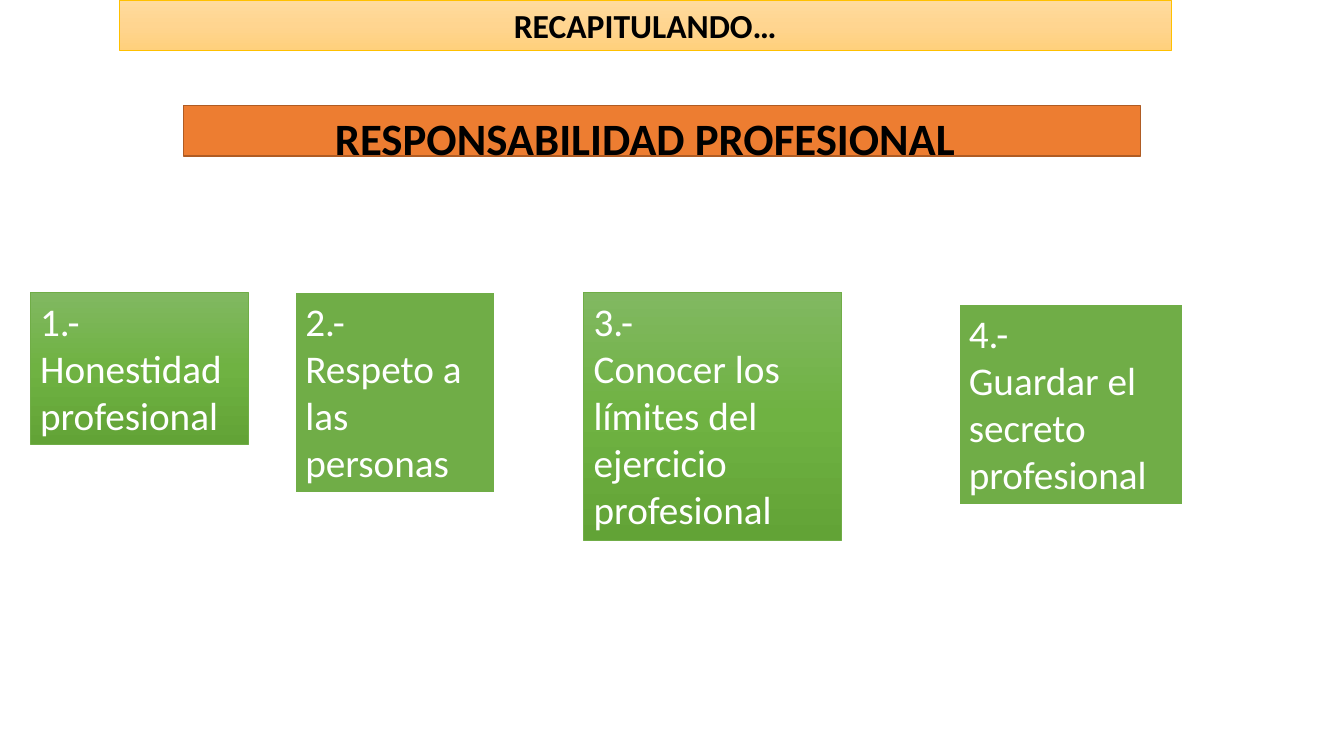
from copy import deepcopy
from dataclasses import dataclass

from pptx import Presentation
from pptx.dml.color import RGBColor
from pptx.enum import shapes, text
from pptx.oxml.ns import qn
from pptx.util import Inches, Pt


@dataclass(frozen=True)
class Theme:
    font: str = "Calibri"
    black: str = "000000"
    white: str = "FFFFFF"
    orange: str = "ED7D31"
    orange_edge: str = "AF5C24"
    gold_edge: str = "FFC000"
    gold_fade: tuple = ("FFDB9E", "FFD590", "FFD07C")
    green: str = "70AD47"
    green_fade: tuple = ("81B861", "6FB242", "62A336")
    recap_size: int = 24
    title_size: int = 32
    duty_size: int = 28


class SlideBuilder:
    def __init__(self, slide, theme):
        self.slide = slide
        self.theme = theme

    def box(self, place, fill, edge, edge_width):
        """Draw a rectangle; a tuple of three colours fades from top to bottom."""
        panel = self.slide.shapes.add_shape(
            shapes.MSO_SHAPE.RECTANGLE, *map(Inches, place))
        panel.shadow.inherit = False
        if isinstance(fill, tuple):
            self.fade(panel, fill)
        else:
            panel.fill.solid()
            panel.fill.fore_color.rgb = RGBColor.from_string(fill)
        panel.line.color.rgb = RGBColor.from_string(edge)
        panel.line.width = Pt(edge_width)
        return panel

    def fade(self, panel, colors):
        panel.fill.gradient()
        panel.fill.gradient_angle = 270
        stops = panel.element.spPr.find(".//" + qn("a:gsLst"))
        stops.insert(1, deepcopy(stops[0]))
        for stop, color, position in zip(panel.fill.gradient_stops, colors, (0, 0.5, 1)):
            stop.color.rgb = RGBColor.from_string(color)
            stop.position = position

    def label(self, place):
        return self.slide.shapes.add_textbox(*map(Inches, place))

    def set_text(self, holder, lines, size, color, bold=False, align=text.PP_ALIGN.LEFT):
        frame = holder.text_frame
        frame.word_wrap = True
        frame.auto_size = text.MSO_AUTO_SIZE.SHAPE_TO_FIT_TEXT
        frame.vertical_anchor = text.MSO_ANCHOR.TOP
        frame.text = "\n".join(lines)
        for paragraph in frame.paragraphs:
            paragraph.alignment = align
            paragraph.font.name = self.theme.font
            paragraph.font.size = Pt(size)
            paragraph.font.bold = bold
            paragraph.font.color.rgb = RGBColor.from_string(color)

    def heading(self, holder, wording, size):
        self.set_text(holder, [wording], size, self.theme.black, True, text.PP_ALIGN.CENTER)

    def duty(self, place, lines, faded):
        theme = self.theme
        style = (theme.green_fade, theme.green, 0.5) if faded else (theme.green, theme.white, 1.5)
        self.set_text(self.box(place, *style), lines, theme.duty_size, theme.white)


DUTIES = [
    ((0.3, 2.9, 2.16, 1.51), ["1.-Honestidad", "profesional"]),
    ((2.93, 2.9, 1.98, 1.99), ["2.-", "Respeto a las", "personas"]),
    ((5.79, 2.9, 2.56, 2.46), ["3.-", "Conocer los límites del ejercicio profesional"]),
    ((9.51, 3.02, 2.22, 1.99), ["4.-", "Guardar el secreto profesional"]),
]


def main():
    deck = Presentation()
    deck.slide_width, deck.slide_height = Inches(13.33), Inches(7.5)
    theme = Theme()
    builder = SlideBuilder(deck.slides.add_slide(deck.slide_layouts[6]), theme)

    builder.box((1.82, 1.05, 9.49, 0.5), theme.orange, theme.orange_edge, 1)
    title = builder.label((1.18, 1.05, 10.44, 0.64))
    builder.heading(title, "RESPONSABILIDAD PROFESIONAL", theme.title_size)
    recap = builder.box((1.18, 0, 10.44, 0.5), theme.gold_fade, theme.gold_edge, 0.5)
    builder.heading(recap, "RECAPITULANDO…", theme.recap_size)

    for index, (place, lines) in enumerate(DUTIES):
        builder.duty(place, lines, faded=index % 2 == 0)

    deck.save("out.pptx")


if __name__ == "__main__":
    main()
